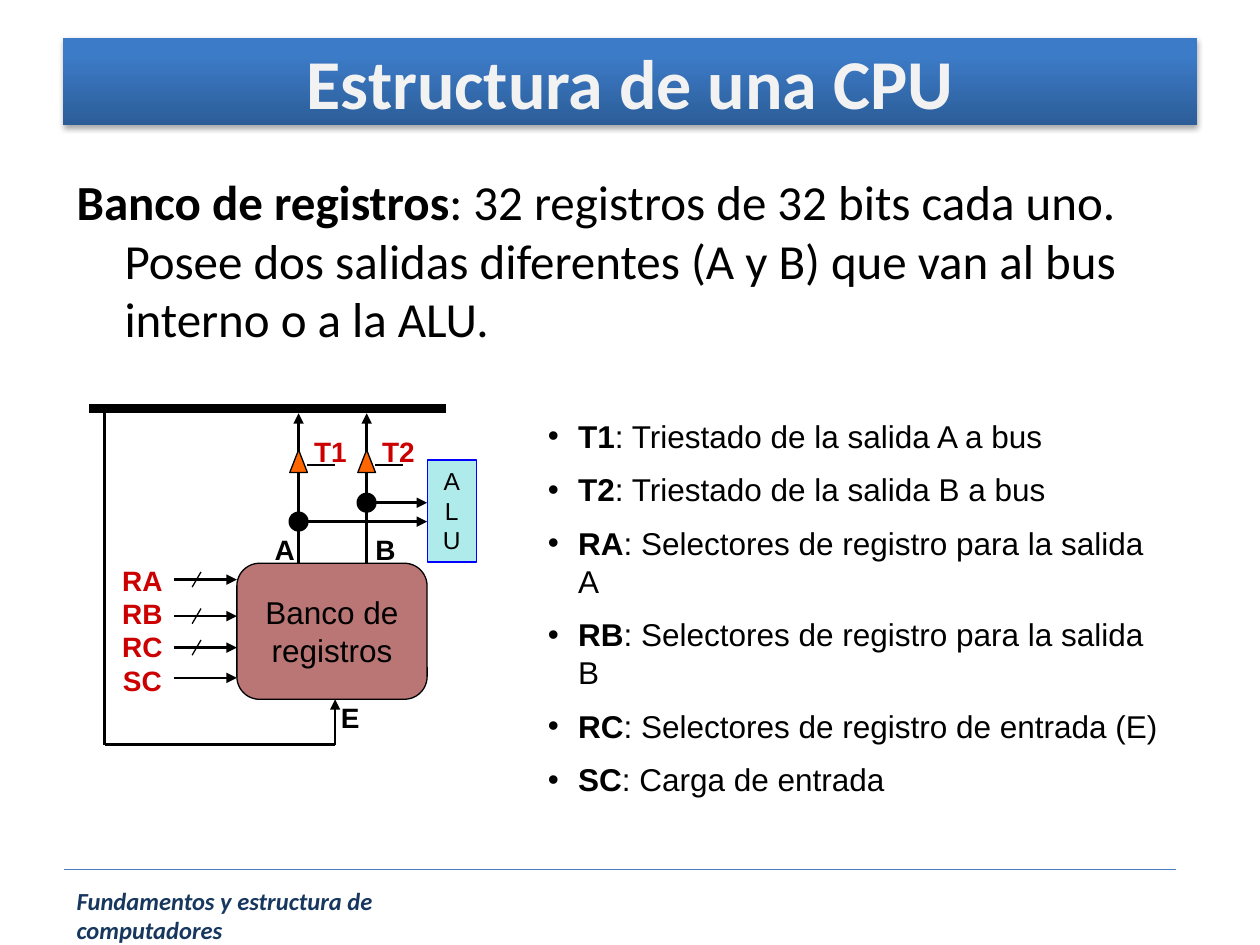
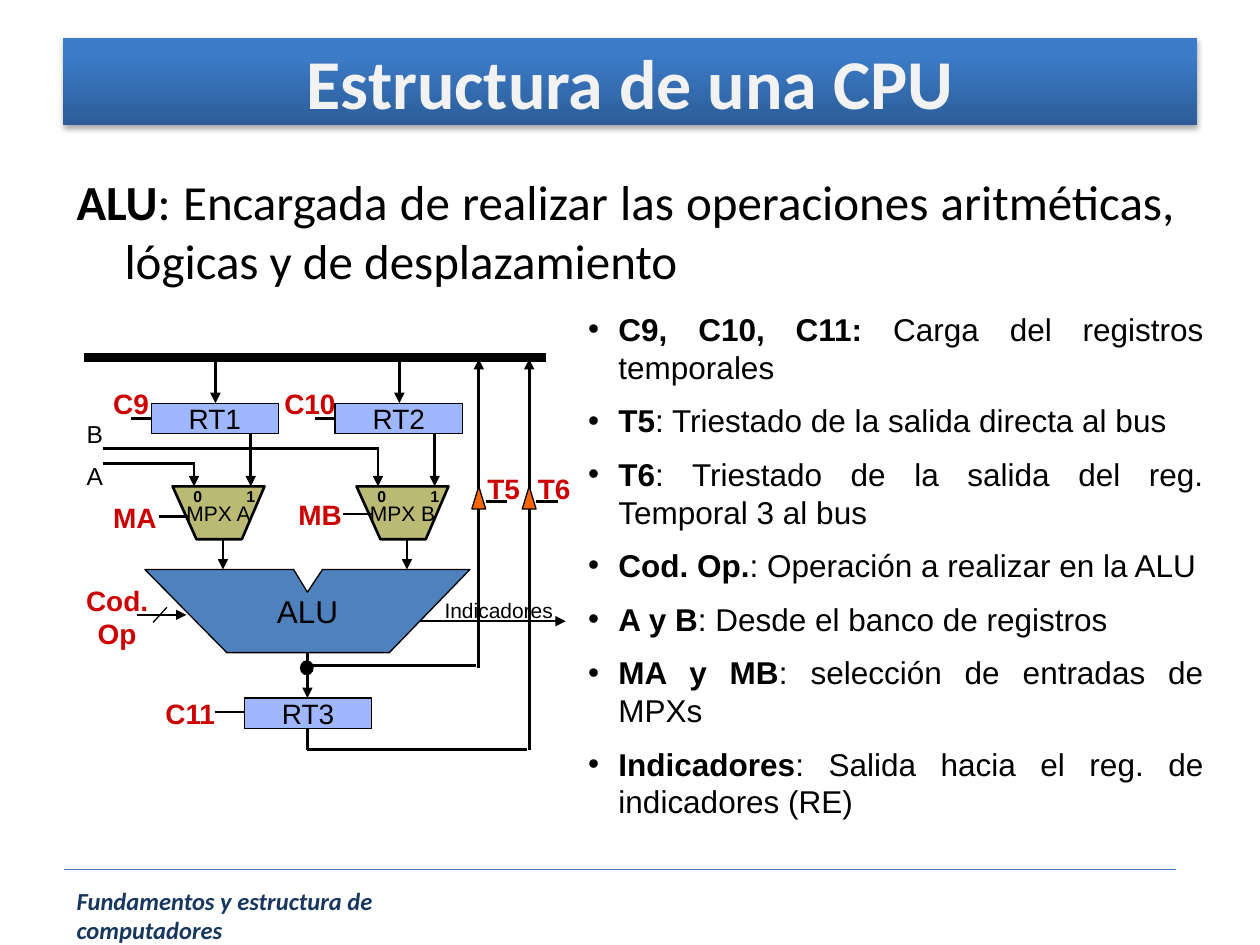
import pptx
import pptx.util
import pptx.dml.color
import pptx.oxml
import pptx.oxml.ns
from pptx.enum.shapes import MSO_SHAPE as Kind, MSO_CONNECTOR as Link
from pptx.enum.text import PP_ALIGN as Align, MSO_ANCHOR as Anchor

Inches, Pt = pptx.util.Inches, pptx.util.Pt
BLACK, RED, ORANGE, BLUE = "000000", "CC0000", "FF6600", "3366FF"
NAVY, RULE, PALE = "17375E", "4B7EBC", "F2F2F2"
NS = 'xmlns:a="http://schemas.openxmlformats.org/drawingml/2006/main"'


def hue(code):
    return pptx.dml.color.RGBColor.from_string(code)


def node(xml):
    """Turn a short a:... fragment into an element."""
    head, rest = xml.split(" ", 1)
    return pptx.oxml.parse_xml(f"{head} {NS} {rest}")


def write(shape, lines, size=16, color=BLACK, font="Arial", bold=False,
          italic=False, align=Align.LEFT, anchor=Anchor.TOP, wrap=True,
          pad=(0.1, 0.05), gap=0, hang=0, bullet=None):
    """Fill a shape with text; a line is a string or a (bold, plain) pair."""
    frame = shape.text_frame
    frame.word_wrap, frame.vertical_anchor = wrap, anchor
    frame.margin_left = frame.margin_right = Inches(pad[0])
    frame.margin_top = frame.margin_bottom = Inches(pad[1])
    for i, line in enumerate(lines):
        para = frame.add_paragraph() if i else frame.paragraphs[0]
        para.alignment = align
        para.space_before = Pt(gap if i else 0)
        if hang:
            props = para._p.get_or_add_pPr()
            props.set("marL", str(Inches(hang)))
            props.set("indent", str(-Inches(hang)))
            if bullet:
                props.append(node('<a:buFont typeface="Arial"/>'))
                props.append(node(f'<a:buChar char="{bullet}"/>'))
        parts = [(line, bold)] if isinstance(line, str) else zip(line, (True, False))
        for words, heavy in parts:
            run = para.add_run()
            run.text = words
            run.font.size, run.font.name = Pt(size), font
            run.font.bold, run.font.italic = heavy, italic
            run.font.color.rgb = hue(color)


def paint(shape, fill, edge=None, width=0.75, alpha=None):
    """Set fill, its opacity in percent, and outline."""
    shape.shadow.inherit = False
    shape.fill.solid()
    shape.fill.fore_color.rgb = hue(fill)
    if alpha:
        tone = shape._element.spPr.find(".//" + pptx.oxml.ns.qn("a:srgbClr"))
        tone.append(node(f'<a:alpha val="{alpha * 1000}"/>'))
    if edge:
        shape.line.color.rgb = hue(edge)
        shape.line.width = Pt(width)
    else:
        shape.line.fill.background()
    return shape


class Board:
    """Draws on a set of shapes, in inches from a corner."""

    def __init__(self, shapes, left, top):
        self.shapes, self.left, self.top = shapes, left, top

    def spot(self, x, y):
        return Inches(self.left + x), Inches(self.top + y)

    def shift(self, dx):
        return Board(self.shapes, self.left + dx, self.top)

    def line(self, start, end, width=1.5, color=BLACK, arrow=False):
        link = self.shapes.add_connector(
            Link.STRAIGHT, *self.spot(*start), *self.spot(*end))
        link.line.color.rgb, link.line.width = hue(color), Pt(width)
        if arrow:
            link.line._get_or_add_ln().append(node('<a:tailEnd type="triangle"/>'))
        link._element.spPr.append(node("<a:effectLst />"))

    def arrow(self, start, end):
        self.line(start, end, arrow=True)

    def shape(self, kind, x, y, w, h, fill, edge=None, alpha=None):
        form = self.shapes.add_shape(kind, *self.spot(x, y), Inches(w), Inches(h))
        return paint(form, fill, edge, alpha=alpha)

    def outline(self, points, fill, width=0.75, alpha=None):
        spots = [self.spot(*point) for point in points]
        maker = self.shapes.build_freeform(*spots[0], scale=1.0)
        maker.add_line_segments(spots[1:], close=True)
        return paint(maker.convert_to_shape(), fill, BLACK, width, alpha)

    def text(self, x, y, w, h, lines, **format):
        box = self.shapes.add_textbox(*self.spot(x, y), Inches(w), Inches(h))
        write(box, lines, **format)

    def label(self, mid, y, words, w=0.57, h=0.37, color=RED):
        """Bold tag centred on mid."""
        self.text(mid - w / 2, y, w, h, words.split("\n"), color=color,
                  bold=True, align=Align.CENTER, pad=(0, 0.05))

    def slash(self, x, y, w):
        """Short stroke that marks a wire of several bits."""
        self.line((x + w / 2, y - 0.06), (x - w / 2, y + 0.06), width=0.75)


def gate(board, name, x, y, foot, head, w):
    """Tri-state gate on a wire that rises to the bus."""
    board.arrow((x, foot), (x, head))
    board.line((x + w / 2, y + 0.12), (x + w * 2.05, y + 0.12))
    board.label(x + w * 1.8, y - 0.17, name)
    board.shape(Kind.ISOSCELES_TRIANGLE, x - w / 2, y, w, 0.18, ORANGE, BLACK)


def bank(slide, left, top):
    """Register bank, with the bus along the top."""
    pen = Board(slide.shapes.add_group_shape().shapes, left, top)
    core = pen.shape(Kind.ROUNDED_RECTANGLE, 1.17, 1.23, 1.51, 1.08,
                     "800000", BLACK, alpha=54)
    write(core, ["Banco de", "registros"], size=18, align=Align.CENTER,
          anchor=Anchor.MIDDLE, wrap=False)
    # Outputs A and B
    for name, x in (("T2", 2.20), ("T1", 1.66)):
        gate(pen, name, x, 0.33, 1.23, 0.04, 0.14)
    for name, x, y in (("A", 1.66, 0.90), ("B", 2.20, 0.75)):
        pen.arrow((x, y), (2.68, y))
        pen.shape(Kind.OVAL, x - 0.08, y - 0.08, 0.16, 0.16, BLACK)
    for name, x in (("A", 1.55), ("B", 2.35), ("E", 2.07)):
        pen.label(x, 2.27 if name == "E" else 0.94, name, w=0.36, color=BLACK)
    # Way back from the bus to input E
    pen.line((0.12, 0.04), (0.12, 2.67))
    pen.line((1.95, 2.67), (0.12, 2.67))
    pen.arrow((1.95, 2.67), (1.95, 2.31))
    # Control inputs
    for y in (1.36, 1.65, 1.90, 2.14):
        pen.arrow((0.67, y), (1.17, y))
        if y < 2:
            pen.slash(0.85, y, 0.07)
    pen.label(0.42, 1.18, "RA\nRB", w=0.5, h=0.64)
    pen.label(0.42, 1.71, "RC\nSC", w=0.5, h=0.64)
    # Bus and ALU
    pen.line((0, 0), (2.83, 0), width=5)
    unit = pen.shape(Kind.RECTANGLE, 2.68, 0.41, 0.39, 0.81,
                     "33CCCC", "0000FF", alpha=39)
    write(unit, ["ALU"], size=14, align=Align.CENTER)


def store(board, name, x, y):
    """Temporary register with the stub of its load signal."""
    box = board.shape(Kind.RECTANGLE, x, y, 1.01, 0.24, BLUE, BLACK, alpha=47)
    write(box, [name], align=Align.CENTER, anchor=Anchor.MIDDLE, wrap=False)


def branch(board, names, load, pick, y, feed):
    """One ALU operand: register, multiplexer and wires."""
    store(board, names[0], 0.53, 0.36)
    board.line((0.37, 0.48), (0.53, 0.48))
    board.label(load, 0.18, names[1])
    board.arrow((1.32, 0.60), (1.32, 1.02))
    board.arrow((1.04, 0.01), (1.04, 0.36))
    mux = board.outline([(0.70, 1.02), (0.89, 1.44), (1.25, 1.44), (1.43, 1.02)],
                        "808000", width=1.5, alpha=54)
    write(mux, [names[2]], size=12, align=Align.CENTER, anchor=Anchor.MIDDLE,
          wrap=False, pad=(0, 0))
    board.line((0.59, y), (0.82, y))
    board.label(pick, y - 0.18, names[3])
    for digit, x in (("0", 0.90), ("1", 1.32)):
        board.text(x - 0.1, 1.02, 0.2, 0.15, [digit], size=9, bold=True,
                   align=Align.CENTER, pad=(0, 0))
    board.arrow((0.87, feed), (0.87, 1.02))
    board.arrow((1.10, 1.44), (1.10, 1.68))


def unit(slide, left, top):
    """ALU with its operands, result register and gates."""
    pen = Board(slide.shapes.add_group_shape().shapes, left, top)
    branch(pen, ("RT1", "C9", "MPX A", "MA"), 0.37, 0.40, 1.26, 0.84)
    branch(pen.shift(1.46), ("RT2", "C10", "MPX B", "MB"), 0.33, 0.41, 1.24, 0.72)
    pen.line((2.34, 0.72), (0.15, 0.72))
    pen.line((0.88, 0.84), (0.15, 0.84))
    # Operation code
    pen.arrow((0.42, 2.04), (0.81, 2.04))
    pen.slash(0.60, 2.04, 0.11)
    pen.label(0.26, 1.74, "Cod. Op", w=0.67, h=0.64)
    # Result register
    pen.arrow((1.77, 2.34), (1.77, 2.70))
    store(pen, "RT3", 1.27, 2.70)
    pen.line((1.04, 2.81), (1.27, 2.81))
    pen.label(0.84, 2.64, "C11")
    pen.line((1.77, 2.94), (1.77, 3.11))
    pen.line((1.77, 3.11), (3.51, 3.11))
    # Gates to the bus
    gate(pen, "T6", 3.53, 1.02, 3.11, 0.01, 0.11)
    gate(pen, "T5", 3.13, 1.02, 2.46, 0.01, 0.11)
    pen.line((1.77, 2.44), (3.11, 2.44))
    pen.arrow((2.64, 2.09), (3.82, 2.09))
    pen.shape(Kind.OVAL, 1.71, 2.40, 0.11, 0.12, BLACK)
    # Notched body
    body = pen.outline([(0.48, 1.68), (1.13, 2.34), (2.42, 2.34), (3.06, 1.68),
                        (1.89, 1.68), (1.77, 1.86), (1.66, 1.68)], "4F81BD")
    write(body, ["ALU"], size=18, align=Align.CENTER, anchor=Anchor.MIDDLE,
          wrap=False)
    pen.text(2.76, 1.85, 1.14, 0.3, ["Indicadores"], size=12)
    pen.text(-0.08, 0.44, 0.43, 0.68, ["B", "A"], size=14, gap=7)
    pen.line((0, 0), (3.66, 0), width=5)


def band(slide, left, top, wide, high):
    """Title on a shaded band."""
    bar = Board(slide.shapes, left, top).shape(Kind.RECTANGLE, 0, 0, wide, high, RULE)
    bar.fill.gradient()
    bar.fill.gradient_angle = 90
    for stop, (place, code) in zip(bar.fill.gradient_stops,
                                   ((0, "2C5D98"), (0.8, "3C7BC7"))):
        stop.position, stop.color.rgb = place, hue(code)
    bar._element.spPr.find(pptx.oxml.ns.qn("a:effectLst")).append(node(
        '<a:outerShdw blurRad="40000" dist="23000" dir="5400000" rotWithShape="0">'
        '<a:srgbClr val="000000"><a:alpha val="35000"/></a:srgbClr></a:outerShdw>'))
    write(bar, ["Estructura de una CPU"], size=40, color=PALE, font="Calibri",
          bold=True, align=Align.CENTER, anchor=Anchor.MIDDLE)


def footer(slide, left, top):
    pen = Board(slide.shapes, left, top)
    pen.line((0, 0), (8.82, 0), width=0.75, color=RULE)
    pen.text(0, 0.08, 3.74, 0.34, ["Fundamentos y estructura de computadores"],
             size=14, color=NAVY, font="Calibri", bold=True, italic=True)


def page(deck, intro, terms, corner, high, align):
    """Slide with title, lead text, list of signals and footer."""
    slide = deck.slides.add_slide(deck.slide_layouts[6])
    pen = Board(slide.shapes, 0, 0)
    pen.text(0.51, 1.31, 8.91, 0.63, [intro], size=28, font="Calibri",
             hang=0.38, align=align)
    band(slide, 0.5, 0.3, 9, 0.69)
    footer(slide, 0.51, 6.9)
    pen.text(*corner, 5.08, high, terms, size=18, gap=9, hang=0.24,
             bullet="•", align=align)
    return slide


deck = pptx.Presentation()
deck.slide_width, deck.slide_height = Inches(10), Inches(7.5)

first = page(deck, (
    "Banco de registros", ": 32 registros de 32 bits cada uno. Posee dos salidas "
    "diferentes (A y B) que van al bus interno o a la ALU."), [
    ("T1", ": Triestado de la salida A a bus"),
    ("T2", ": Triestado de la salida B a bus"),
    ("RA", ": Selectores de registro para la salida A"),
    ("RB", ": Selectores de registro para la salida B"),
    ("RC", ": Selectores de registro de entrada (E)"),
    ("SC", ": Carga de entrada")], (4.25, 3.26), 2.66, Align.LEFT)
bank(first, 0.71, 3.24)

second = page(deck, (
    "ALU", ": Encargada de realizar las operaciones aritméticas, lógicas y de "
    "desplazamiento"), [
    ("C9, C10, C11:", " Carga del registros temporales"),
    ("T5", ": Triestado de la salida directa al bus"),
    ("T6", ": Triestado de la salida del reg. Temporal 3 al bus"),
    ("Cod. Op.", ": Operación a realizar en la ALU"),
    ("A y B", ": Desde el banco de registros"),
    ("MA y MB", ": selección de entradas de MPXs"),
    ("Indicadores", ": Salida hacia el reg. de indicadores (RE)")],
    (4.57, 2.41), 4.01, Align.JUSTIFY)
unit(second, 0.67, 2.84)

deck.save("out.pptx")
